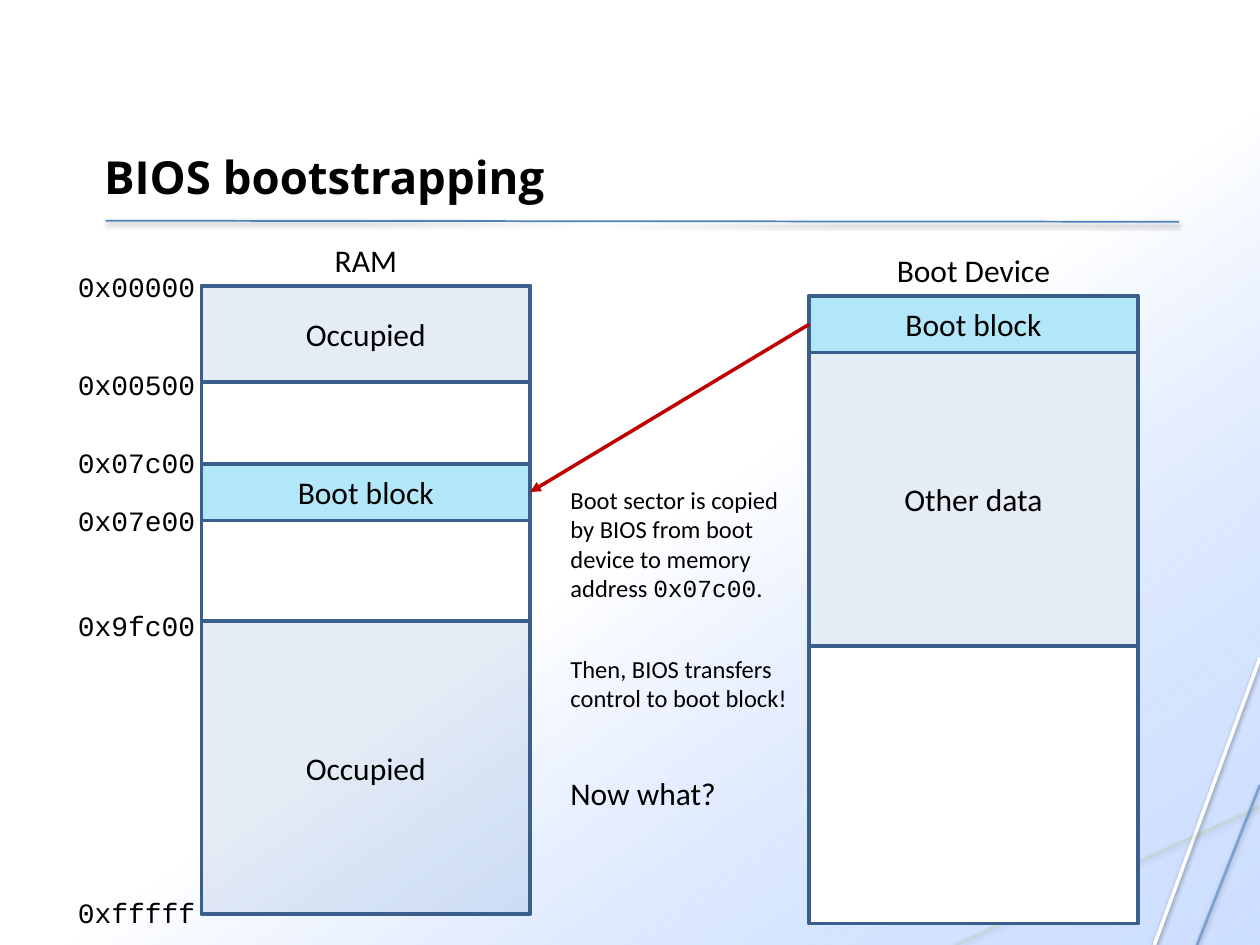
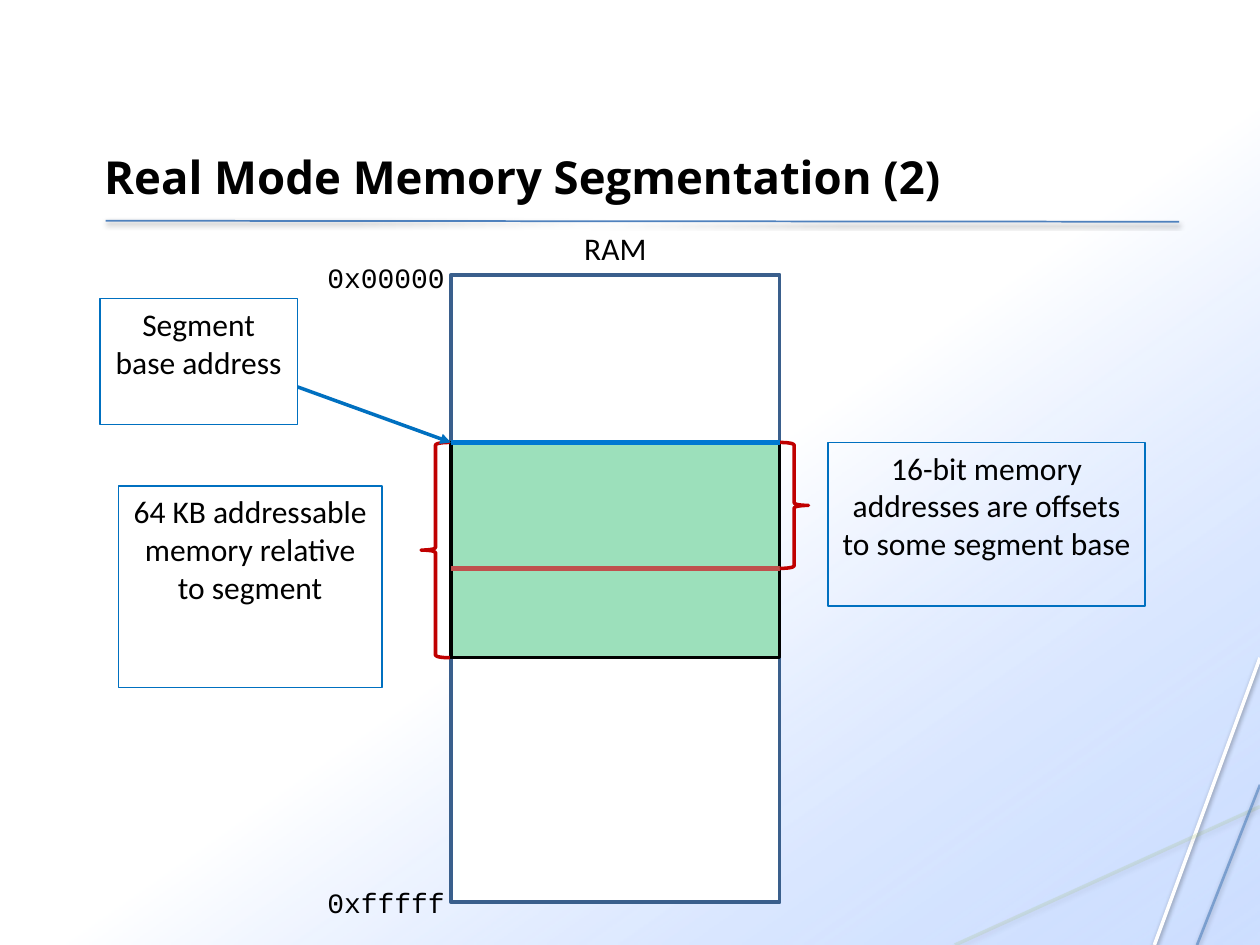
from lxml.etree import SubElement
from pptx import Presentation
from pptx.dml.color import RGBColor
from pptx.enum.shapes import MSO_CONNECTOR as Connector, MSO_SHAPE as Shape
from pptx.enum.text import MSO_ANCHOR as Anchor, PP_ALIGN as Align
from pptx.oxml import parse_xml
from pptx.oxml.ns import nsdecls, qn
from pptx.util import Cm, Pt

# Shared style
BODY, CODE, HEADING = "Calibri", "Courier New", "Open Sans"
BLACK, WHITE = "000000", "FFFFFF"
BLUE, OUTLINE, CALLOUT, RED = "4F81BD", "3A5F8C", "0070C0", "C00000"
SLIDE_WIDTH, SLIDE_HEIGHT = 25.4, 19.05
COLUMN_WIDTH, COLUMN_HEIGHT = 6.63, 12.65
BLOCK_HEIGHT, DATA_HEIGHT = 1.14, 5.91
OCCUPIED, BOOT, SEGMENT = (BLUE, 15), ("00B0F0", 30), ("00B050", 39)
LEFT, RIGHT = 1, 3  # connection sites of a rectangle


def color(value):
    return RGBColor.from_string(value)


def set_alpha(shape, percent):
    """Make the first colour of a shape partly transparent."""
    first_color = shape.element.spPr.find(".//" + qn("a:srgbClr"))
    SubElement(first_color, qn("a:alpha"), val=str(percent * 1000))


class Deck:
    def __init__(self):
        self.presentation = Presentation()
        self.presentation.slide_width = Cm(SLIDE_WIDTH)
        self.presentation.slide_height = Cm(SLIDE_HEIGHT)
        self.slide = None

    def new_slide(self, title):
        layout = self.presentation.slide_layouts[6]
        self.slide = self.presentation.slides.add_slide(layout)
        self.backdrop()
        frame = self.text(title, 1.85, 0.84, 21.9, 3.38, 26, HEADING, bold=True)
        frame.vertical_anchor = Anchor.BOTTOM

    def backdrop(self):
        """Gradient, crossing corner lines and the rule under the title."""
        panel = self.box(0, 0, SLIDE_WIDTH, SLIDE_HEIGHT, line=None)
        properties = panel.element.spPr
        properties.replace(properties.find(qn("a:noFill")), parse_xml(
            f'<a:gradFill {nsdecls("a")} rotWithShape="1"><a:gsLst>'
            '<a:gs pos="54000"><a:srgbClr val="FFFFFF"/></a:gs>'
            '<a:gs pos="100000"><a:srgbClr val="A4C4FF"><a:alpha val="54000"/>'
            '</a:srgbClr></a:gs></a:gsLst><a:lin ang="3300000" scaled="0"/>'
            '</a:gradFill>'))
        for start, end, line, width, alpha in (
            ((25.4, 13.26), (23.27, 19.05), WHITE, 2, 100),
            ((25.4, 16.26), (19.25, 19.05), "9BBB59", 2, 16),
            ((25.4, 15.82), (24.13, 19.05), BLUE, 1.5, 60),
            ((2.13, 4.45), (23.77, 4.47), BLUE, 1, 100),
        ):
            connector = self.line(start, end, line, width, shadow=True)
            if alpha < 100:
                set_alpha(connector, alpha)

    def fill_text(self, frame, content, size, font=BODY, align=Align.LEFT,
                  bold=False):
        """Fill a frame with a string, or a list of (text, font) runs."""
        paragraph = frame.paragraphs[0]
        paragraph.alignment = align
        paragraph.font.size = Pt(size)
        paragraph.font.bold = bold
        paragraph.font.name = font
        paragraph.font.color.rgb = color(BLACK)
        runs = [(content, font)] if isinstance(content, str) else content
        for words, run_font in runs:
            run = paragraph.add_run()
            run.text = words
            if run_font != font:
                run.font.name = run_font

    def text(self, content, left, top, width, height, size=18, font=BODY,
             align=Align.LEFT, bold=False, wrap=True):
        area = self.slide.shapes.add_textbox(Cm(left), Cm(top), Cm(width), Cm(height))
        frame = area.text_frame
        frame.word_wrap = wrap
        self.fill_text(frame, content, size, font, align, bold)
        return frame

    def box(self, left, top, width, height, fill=None, line=OUTLINE, weight=2,
            label=None, anchor=Anchor.MIDDLE, kind=Shape.RECTANGLE):
        """Draw a preset shape; fill is a (colour, opacity) pair."""
        shape = self.slide.shapes.add_shape(
            kind, Cm(left), Cm(top), Cm(width), Cm(height))
        shape.shadow.inherit = False
        if fill:
            shape.fill.solid()
            shape.fill.fore_color.rgb = color(fill[0])
            if fill[1] < 100:
                set_alpha(shape, fill[1])
        else:
            shape.fill.background()
        if line:
            shape.line.color.rgb = color(line)
            shape.line.width = Pt(weight)
        else:
            shape.line.fill.background()
        if label:
            shape.text_frame.word_wrap = True
            shape.text_frame.vertical_anchor = anchor
            self.fill_text(shape.text_frame, label, 18, align=Align.CENTER)
        return shape

    def line(self, start, end, line, width, arrow=False, shadow=False):
        connector = self.slide.shapes.add_connector(
            Connector.STRAIGHT, *(Cm(value) for value in (*start, *end)))
        connector.line.color.rgb = color(line)
        connector.line.width = Pt(width)
        properties = connector.element.spPr
        if arrow:
            SubElement(properties.find(qn("a:ln")), qn("a:tailEnd"), type="triangle")
        effects = SubElement(properties, qn("a:effectLst"))
        if shadow:
            outer = SubElement(effects, qn("a:outerShdw"), blurRad="40000",
                               dist="20000", dir="5400000", rotWithShape="0")
            shade = SubElement(outer, qn("a:srgbClr"), val=BLACK)
            SubElement(shade, qn("a:alpha"), val="38000")
        return connector

    def column(self, caption, left, top, fill=None, addresses=()):
        """Draw a storage column with its caption and address labels."""
        self.box(left, top, COLUMN_WIDTH, COLUMN_HEIGHT, fill)
        self.text(caption, left, top - 1.04, COLUMN_WIDTH, 1.02, align=Align.CENTER)
        for address, address_top in addresses:
            self.text(address, left - 2.74, address_top, 2.87, 0.91, 16, CODE,
                      wrap=False)

    def brace(self, kind, left, top, height):
        shape = self.box(left, top, 0.58, height, line=RED, kind=kind)
        shape.adjustments[0] = 0.083

    def callout(self, label, left, top, width, height):
        self.box(left, top, width, height, line=CALLOUT, weight=1, label=label,
                 anchor=Anchor.TOP)


def build_bootstrapping(deck):
    deck.new_slide("BIOS bootstrapping")

    # Memory and boot device
    ram_left, ram_top = 4.06, 5.77
    device_left, device_top = 16.31, 5.97
    deck.column("RAM", ram_left, ram_top, addresses=(
        ("0x00000", 5.31), ("0x00500", 7.29), ("0x07c00", 8.86),
        ("0x07e00", 10.03), ("0x9fc00", 12.14), ("0xfffff", 17.93)))
    deck.column("Boot Device", device_left, device_top, (WHITE, 100))

    def block(label, left, top, height, fill):
        return deck.box(left, top, COLUMN_WIDTH, height, fill, label=label)

    block("Occupied", ram_left, ram_top, 1.93, OCCUPIED)
    loaded = block("Boot block", ram_left, 9.35, BLOCK_HEIGHT, BOOT)
    block("Occupied", ram_left, 12.52, DATA_HEIGHT, OCCUPIED)
    stored = block("Boot block", device_left, device_top, BLOCK_HEIGHT, BOOT)
    block("Other data", device_left, device_top + BLOCK_HEIGHT, DATA_HEIGHT, OCCUPIED)

    # Copy from device to memory
    copy_arrow = deck.line((device_left, 6.54), (ram_left + COLUMN_WIDTH, 9.92),
                           RED, 2, arrow=True)
    copy_arrow.begin_connect(stored, LEFT)
    copy_arrow.end_connect(loaded, RIGHT)

    # Explanation
    copied = [
        ("Boot sector is copied by BIOS from boot device to memory address ", BODY),
        ("0x07c00", CODE), (".", BODY)]
    for content, top, height, size in (
        (copied, 9.65, 3.2, 14),
        ("Then, BIOS transfers control to boot block!", 13.06, 2.03, 14),
        ("Now what?", 15.47, 1.02, 18),
    ):
        deck.text(content, 11.25, top, 5, height, size)


def build_segmentation(deck):
    deck.new_slide("Real Mode Memory Segmentation (2)")
    ram_left, ram_right = 9.09, 9.09 + COLUMN_WIDTH
    base, offset, segment_height = 8.92, 11.46, 4.34

    # Memory with one segment
    deck.column("RAM", ram_left, 5.54, (WHITE, 100),
                (("0x00000", 5.13), ("0xfffff", 17.73)))
    deck.box(ram_left, base, COLUMN_WIDTH, segment_height, SEGMENT, BLACK)
    deck.line((ram_left, offset), (ram_right, offset), "C0504D", 3)

    # Callouts and braces
    deck.callout("Segment base address", 2.01, 6.02, 3.99, 2.54)
    deck.callout("16-bit memory addresses are offsets to some segment base",
                 16.69, base, 6.4, 3.3)
    deck.callout("64 KB addressable memory relative to segment",
                 2.39, 9.8, 5.31, 4.06)
    deck.brace(Shape.RIGHT_BRACE, ram_right, base, offset - base)
    deck.brace(Shape.LEFT_BRACE, ram_left - 0.6, base, segment_height)

    # Segment base
    deck.line((6, 7.8), (ram_left, base), CALLOUT, 2, arrow=True)
    deck.line((ram_left, base), (ram_right, base), "0078D2", 3)


def main():
    deck = Deck()
    build_bootstrapping(deck)
    build_segmentation(deck)
    deck.presentation.save("out.pptx")


if __name__ == "__main__":
    main()
